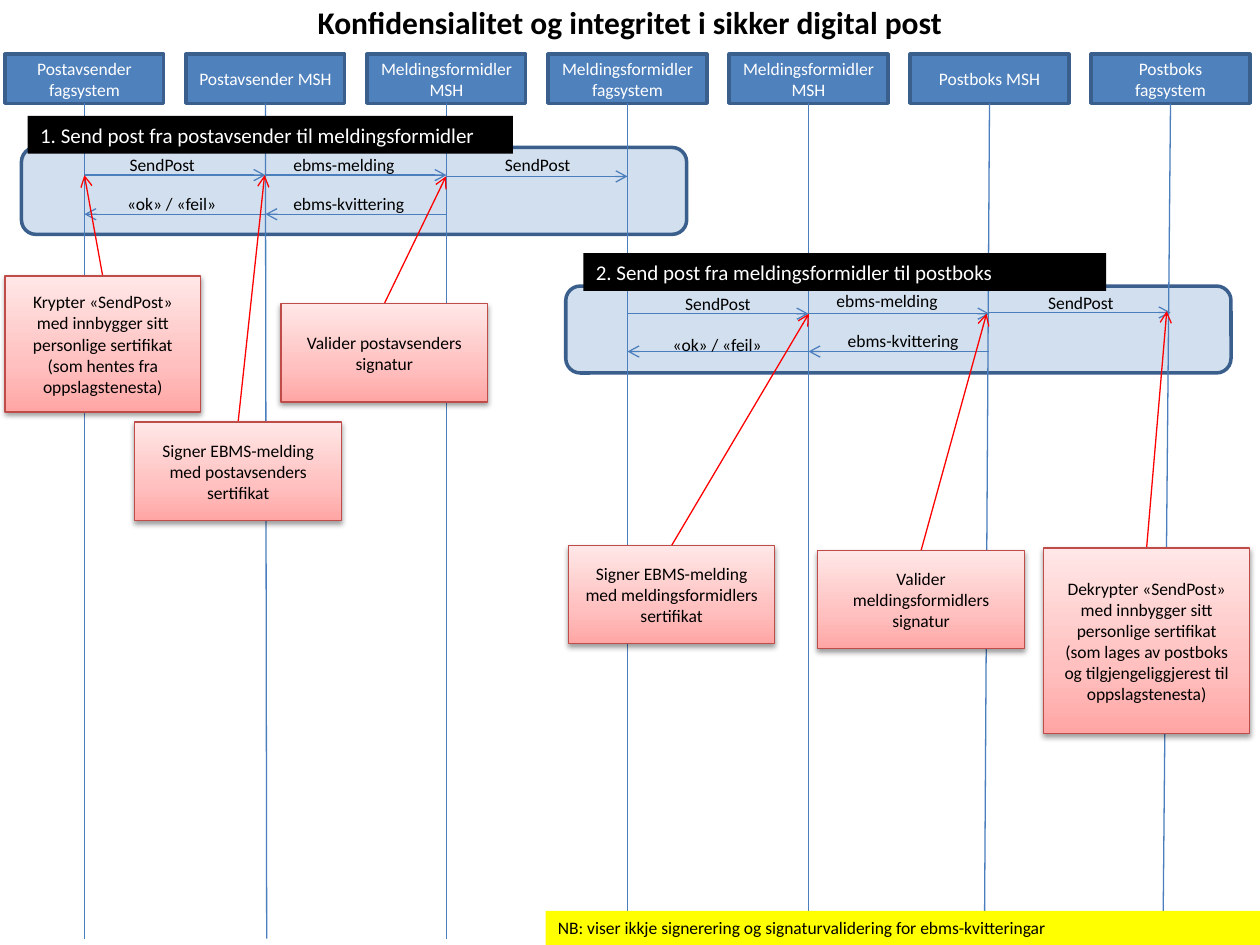
from dataclasses import dataclass
from lxml import etree
from pptx import Presentation
from pptx.dml.color import RGBColor
from pptx.enum import shapes as es, text as et
from pptx.oxml import parse_xml
from pptx.oxml.ns import qn
from pptx.util import Inches, Pt

NS = 'xmlns:a="http://schemas.openxmlformats.org/drawingml/2006/main"'
MID, TOP = et.MSO_ANCHOR.MIDDLE, et.MSO_ANCHOR.TOP
MIDX, LEFT = et.PP_ALIGN.CENTER, et.PP_ALIGN.LEFT
RECT, ROUND = es.MSO_SHAPE.RECTANGLE, es.MSO_SHAPE.ROUNDED_RECTANGLE


@dataclass
class Theme:
    font: str = "Calibri"
    small: int = 10
    head: int = 12
    title: int = 18
    blue: str = "4F81BD"
    edge: str = "3A5F8C"
    flow: str = "4B7EBC"
    red: str = "FF0000"
    rim: str = "BF4C48"
    note: str = "FFFF00"
    black: str = "000000"
    white: str = "FFFFFF"
    fade: tuple = ((0, "FFA6A5"), (35, "FFC0BF"), (100, "FFE7E7"))


T = Theme()
PITCH = (9.29 - 0.67) / 6
LANES = [0.67 + PITCH * i for i in range(7)]


def rgb(code):
    return RGBColor.from_string(code)


def write(shape, words, size=T.small, color=T.black, bold=False,
          align=LEFT, anchor=TOP, wrap=True):
    """Put text in a shape, one paragraph for each line."""
    frame = shape.text_frame
    frame.word_wrap = wrap
    frame.auto_size = et.MSO_AUTO_SIZE.NONE
    frame.vertical_anchor = anchor
    frame.text = words
    for para in frame.paragraphs:
        para.alignment = align
        for run in para.runs:
            font = run.font
            font.name, font.size, font.bold = T.font, Pt(size), bold
            font.color.rgb = rgb(color)


def block(slide, box, fill, kind=RECT, line=None, width=2):
    shape = slide.shapes.add_shape(kind, *map(Inches, box))
    shape.shadow.inherit = False
    shape.fill.solid()
    shape.fill.fore_color.rgb = rgb(fill)
    if line:
        shape.line.color.rgb = rgb(line)
        shape.line.width = Pt(width)
    else:
        shape.line.fill.background()
    return shape


def link(slide, start, end, color=T.flow, arrow=True):
    line = slide.shapes.add_connector(
        es.MSO_CONNECTOR.STRAIGHT, *map(Inches, (*start, *end)))
    line.line.color.rgb = rgb(color)
    line.line.width = Pt(0.75)
    props = line._element.spPr
    if arrow:
        etree.SubElement(props.find(qn("a:ln")), qn("a:tailEnd"), type="arrow")
    etree.SubElement(props, qn("a:effectLst"))


def title(slide, box, words):
    head = slide.shapes.title
    head.left, head.top, head.width, head.height = map(Inches, box)
    head.fill.solid()
    head.fill.fore_color.rgb = rgb(T.white)
    write(head, words, size=T.title, bold=True, align=MIDX)


def panel(slide, x, y):
    shape = block(slide, (x, y, 5.28, 0.69), T.blue, ROUND, T.edge)
    tint = shape._element.spPr.find(qn("a:solidFill"))[0]
    etree.SubElement(tint, qn("a:alpha"), val="25000")


def lane(slide, x, name, drift):
    box = block(slide, (x - 0.63, 0.43, 1.26, 0.39), T.blue, line=T.edge)
    write(box, name, color=T.white, align=MIDX, anchor=MID)
    link(slide, (x, 0.82), (x + drift, 7.45), arrow=False)


def flow(slide, x, y, first, calls, bar, head):
    """Messages of one stage: lane steps from the first, drop, label offset."""
    for a, b, drop, words, dx, dy, wide in calls:
        link(slide, (LANES[first + a], y + drop), (LANES[first + b], y + drop))
        label = slide.shapes.add_textbox(
            *map(Inches, (x + dx, y + dy, wide, 0.27)))
        write(label, words, wrap=False)
    left, top, wide = bar
    strip = block(slide, (x + left, y + top, wide, 0.3), T.black)
    write(strip, head, size=T.head, color=T.white)


def callout(slide, box, tip, words):
    x, y, w, h = box
    link(slide, (x + w / 2, y), tip, T.red)
    shape = block(slide, box, T.white, line=T.rim, width=0.75)
    props = shape._element.spPr
    stops = "".join(f'<a:gs pos="{p * 1000}"><a:srgbClr val="{c}"/></a:gs>'
                    for p, c in T.fade)
    grad = parse_xml(f'<a:gradFill {NS} rotWithShape="1"><a:gsLst>{stops}'
                     '</a:gsLst><a:lin ang="16200000" scaled="0"/></a:gradFill>')
    props.replace(props.find(qn("a:solidFill")), grad)
    glow = parse_xml(
        f'<a:effectLst {NS}><a:outerShdw blurRad="{Pt(3.1)}" dist="{Pt(1.6)}" '
        'dir="5400000" rotWithShape="0"><a:srgbClr val="000000">'
        '<a:alpha val="38000"/></a:srgbClr></a:outerShdw></a:effectLst>')
    props.replace(props.find(qn("a:effectLst")), glow)
    write(shape, words, align=MIDX, anchor=MID)


PARTS = [("Postavsender fagsystem", 0), ("Postavsender MSH", 0.01),
         ("Meldingsformidler MSH", 0), ("Meldingsformidler fagsystem", 0),
         ("Meldingsformidler MSH", 0), ("Postboks MSH", -0.04),
         ("Postboks fagsystem", -0.06)]

SEND, EBMS, ACK, REPLY = ("SendPost", "ebms-melding", "ebms-kvittering",
                          "«ok» / «feil»")
STAGES = [
    (0.17, 1.17, 0,
     [(0, 1, 0.22, SEND, 0.76, 0, 0.73), (1, 2, 0.22, EBMS, 2.06, 0, 1.01),
      (2, 3, 0.23, SEND, 3.74, 0, 0.73), (2, 1, 0.53, ACK, 2.06, 0.31, 1.1),
      (1, 0, 0.53, REPLY, 0.74, 0.31, 0.92)],
     (0.05, -0.25, 3.85), "1. Send post fra postavsender til meldingsformidler"),
    (4.49, 2.27, 3,
     [(0, 1, 0.22, SEND, 0.85, 0.01, 0.73),
      (1, 2, 0.22, EBMS, 2.05, -0.02, 1.01),
      (2, 3, 0.21, SEND, 3.73, 0, 0.73), (2, 1, 0.52, ACK, 2.14, 0.3, 1.1),
      (1, 0, 0.52, REPLY, 0.75, 0.33, 0.92)],
     (0.14, -0.26, 4.15), "2. Send post fra meldingsformidler til postboks"),
]

CALLOUTS = [
    ((0.04, 2.19, 1.55, 1.08), (0.67, 1.39),
     "Krypter «SendPost» med innbygger sitt personlige sertifikat "
     "(som hentes fra oppslagstenesta)"),
    ((1.07, 3.35, 1.64, 0.78), (2.1, 1.39),
     "Signer EBMS-melding med postavsenders sertifikat"),
    ((2.23, 2.41, 1.64, 0.78), (3.54, 1.4), "Valider postavsenders signatur"),
    ((4.51, 4.33, 1.64, 0.78), (6.42, 2.49),
     "Signer EBMS-melding med meldingsformidlers sertifikat"),
    ((6.49, 4.37, 1.64, 0.78), (7.83, 2.49),
     "Valider meldingsformidlers signatur"),
    ((8.28, 4.35, 1.64, 1.47), (9.26, 2.47),
     "Dekrypter «SendPost» med innbygger sitt personlige sertifikat\n"
     "(som lages av postboks og tilgjengeliggjerest til oppslagstenesta)"),
]

deck = Presentation()
deck.slide_width, deck.slide_height = Inches(10), Inches(7.5)
page = deck.slides.add_slide(deck.slide_layouts[5])

title(page, (0, -0.03, 10, 0.4),
      "Konfidensialitet og integritet i sikker digital post")

# Panels lie behind the lanes
for x, y, *_ in STAGES:
    panel(page, x, y)
for x, (name, drift) in zip(LANES, PARTS):
    lane(page, x, name, drift)

# Messages and their headings
for stage in STAGES:
    flow(page, *stage)

# Security steps
for item in CALLOUTS:
    callout(page, *item)

# Footnote
foot = block(page, (4.33, 7.23, 5.67, 0.27), T.note)
write(foot, "NB: viser ikkje signerering og signaturvalidering "
            "for ebms-kvitteringar")

deck.save("out.pptx")
